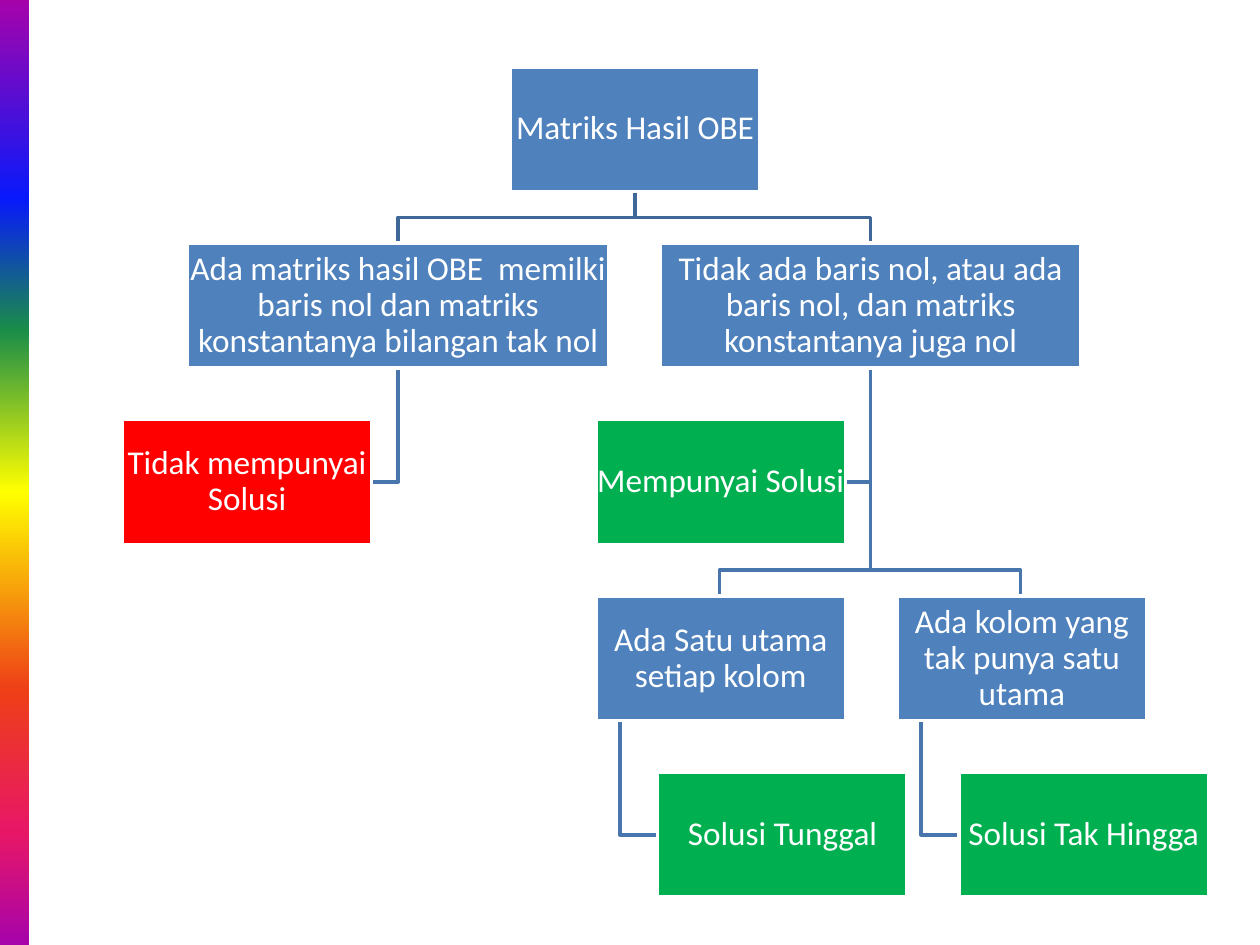
"""Build the decision tree slide for row-reduced matrix solutions."""
from lxml import etree
from pptx import Presentation, util as u
from pptx.dml.color import RGBColor
from pptx.enum import shapes, text
from pptx.oxml.ns import qn

hue = RGBColor.from_string


def put(item, **vals):
    for key, val in vals.items():
        setattr(item, key, val)


deck = Presentation()
put(deck, slide_width=u.Inches(10), slide_height=u.Inches(7.5))
slide = deck.slides.add_slide(deck.slide_layouts[6])
rect = shapes.MSO_SHAPE.RECTANGLE

bar = slide.shapes.add_shape(rect, 0, 0, u.Inches(0.23), deck.slide_height)
bar.shadow.inherit = False
bar.line.fill.background()
bar.fill.gradient()
bar.fill.gradient_angle = 270
stops = bar._element.spPr.find(".//" + qn("a:gsLst"))
for old in list(stops):
    stops.remove(old)
rainbow = [(0, "A603AB"), (21, "0819FB"), (35, "1A8D48"), (52, "FFFF00"),
           (73, "EE3F17"), (88, "E81766"), (100, "A603AB")]
for share, tint in rainbow:
    stop = etree.SubElement(stops, qn("a:gs"), pos=str(share * 1000))
    etree.SubElement(stop, qn("a:srgbClr"), val=tint)

blue, red, green = "4F81BD", "FF0000", "00B050"
dark, mid = "3F6797", "4875AC"
slim, wide, high, gap = 1.98, 3.34, 0.99, 0.41
tops = [0.53 + row * (high + gap) for row in range(5)]
root, left, right = 5.04, 3.16, 6.91

# fmt: off
forks = [(right, 1, 8.1, 3, mid), (right, 1, 5.71, 3, mid),
         (root, 0, right, 1, dark), (root, 0, left, 1, dark)]
hooks = [(right, 1, 6.7, 2, mid), (7.31, 3, 7.61, 4, mid),
         (4.92, 3, 5.22, 4, mid), (left, 1, 2.95, 2, mid)]
links = []
for x, row, end, low, tint in hooks:
    turn = tops[low] + high / 2
    links.append(([(x, tops[row] + high), (x, turn), (end, turn)], tint))
for x, row, end, low, tint in forks:
    turn = tops[low] - gap / 2
    links.append(([(x, tops[row] + high), (x, turn), (end, turn),
                   (end, tops[low])], tint))
for spots, tint in links:
    spots = [(u.Inches(x), u.Inches(y)) for x, y in spots]
    pen = slide.shapes.build_freeform(*spots[0])
    pen.add_line_segments(spots[1:], close=False)
    link = pen.convert_to_shape()
    link.shadow.inherit = False
    link.fill.background()
    link.line.color.rgb = hue(tint)
    link.line.width = u.Pt(2)

boxes = [
    (root - slim / 2, 0, slim, blue, "Matriks Hasil OBE"),
    (left - wide / 2, 1, wide, blue,
     "Ada matriks hasil OBE  memilki baris nol dan matriks konstantanya bilangan tak nol"),
    (0.97, 2, slim, red, "Tidak mempunyai Solusi"),
    (right - wide / 2, 1, wide, blue,
     "Tidak ada baris nol, atau ada baris nol, dan matriks konstantanya juga nol"),
    (4.73, 3, slim, blue, "Ada Satu utama setiap kolom"),
    (5.22, 4, slim, green, "Solusi Tunggal"),
    (7.12, 3, slim, blue, "Ada kolom yang tak punya satu utama"),
    (7.61, 4, slim, green, "Solusi Tak Hingga"),
    (4.73, 2, slim, green, "Mempunyai Solusi"),
]
edge = u.Inches(0.01)
frame = dict(word_wrap=True, vertical_anchor=text.MSO_ANCHOR.MIDDLE,
             margin_left=edge, margin_right=edge, margin_top=edge, margin_bottom=edge)
para = dict(alignment=text.PP_ALIGN.CENTER, line_spacing=0.9)
face = dict(name="Calibri", size=u.Pt(19))
for x, row, width, tint, words in boxes:
    box = slide.shapes.add_shape(rect, *map(u.Inches, (x, tops[row], width, high)))
    box.shadow.inherit = False
    box.fill.solid()
    box.fill.fore_color.rgb = hue(tint)
    box.line.color.rgb = hue("FFFFFF")
    box.line.width = u.Pt(2)
    put(box.text_frame, **frame)
    line = box.text_frame.paragraphs[0]
    put(line, **para)
    run = line.add_run()
    run.text = words
    put(run.font, **face)
    run.font.color.rgb = hue("FFFFFF")

deck.save("out.pptx")
